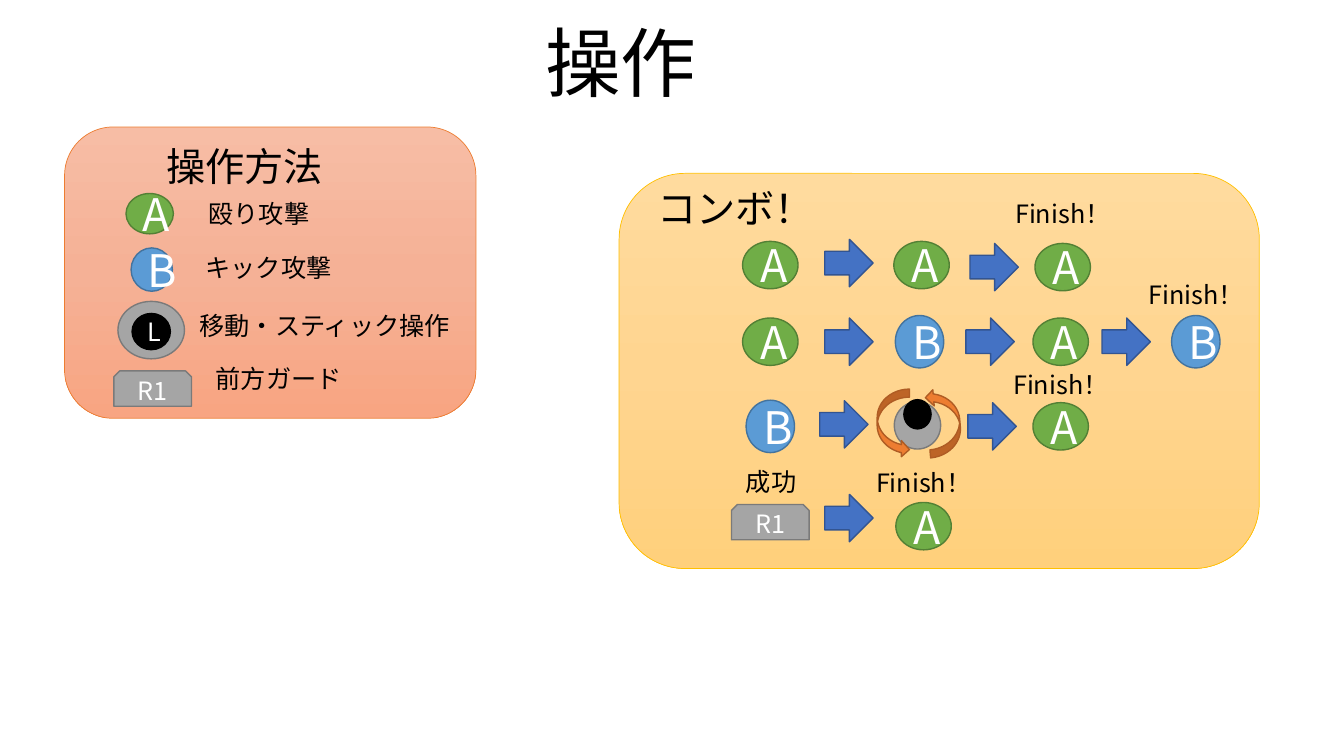
from copy import deepcopy

from lxml.etree import SubElement
from pptx import Presentation
from pptx.dml.color import RGBColor
from pptx.enum.shapes import MSO_SHAPE as Preset
from pptx.enum.text import MSO_ANCHOR as Anchor, PP_ALIGN as Align
from pptx.oxml.ns import qn
from pptx.util import Inches, Pt

FONT = "Noto Sans CJK JP"
SLIDE_SIZE = (13.33, 7.5)
PANELS = [
    ((0.64, 1.26, 4.08, 2.89), ("F7BDA5", "F5B196", "F8A582"), "ED7D31"),
    ((6.14, 1.72, 6.35, 3.92), ("FFDB9E", "FFD590", "FFD07C"), "FFC000"),
]
TEXTS = [
    ("操作", (5.31, 0.11, 1.79, 1.01), 54),
    ("操作方法", (1.55, 1.36, 1.89, 0.57), 28),
    ("コンボ！", (6.42, 1.78, 2.15, 0.68), 28),
    ("成功", (7.3, 4.58, 0.8, 0.4), 18),
]
KINDS = {
    "A": (Preset.OVAL, "70AD47", "538035", (0.55, 0.47), 32),
    "B": (Preset.OVAL, "5B9BD5", "43739E", (0.48, 0.52), 32),
    "R1": (Preset.SNIP_2_SAME_RECTANGLE, "A5A5A5", "7A7A7A", (0.77, 0.35), 18),
    "L": (Preset.OVAL, "000000", "000000", (0.38, 0.36), 18),
    "knob": (Preset.OVAL, "000000", "000000", (0.27, 0.29), None),
    "base": (Preset.OVAL, "A5A5A5", "7A7A7A", (0.46, 0.47), None),
    "arrow": (Preset.RIGHT_ARROW, "4472C4", "325491", (0.48, 0.47), None),
    "spin": (Preset.CURVED_RIGHT_ARROW, "ED7D31", "AF5C24", (0.32, 0.68), None),
}
CONTROLS = [
    ([("A", (1.485, 2.12), (0.47, 0.4))], "殴り攻撃", (1.97, 1.92, 1.68)),
    ([("B", (1.505, 2.675), (0.41, 0.43))], "キック攻撃", (1.94, 2.45, 1.68)),
    ([("base", (1.5, 3.275), (0.66, 0.57)), ("L", (1.5, 3.29), None)],
     "移動・スティック操作", (1.88, 3.03, 2.71)),
    ([("R1", (1.515, 3.855), None)], "前方ガード", (2.04, 3.56, 1.68)),
]
COMBO_COLUMNS = (7.64, 8.42, 9.12, 9.84, 10.52, 11.17, 11.86)
COMBOS = [
    (2.63, ("A", "A", "A"), 1.92),
    (3.39, ("A", "B", "A", "B"), 2.72),
    (4.23, ("B", "stick", "A"), 3.61),
    (5.18, ("R1", "A"), 4.59),
]
NUDGES = {
    (0, 1): (0, -0.02), (0, 2): (0.02, 0), (0, 3): (0.02, 0.02), (0, 4): (0.02, 0.02),
    (1, 3): (-0.02, 0), (2, 1): (-0.05, -0.02), (2, 2): (-0.02, -0.01),
    (3, 1): (0, -0.04), (3, 2): (0.04, 0.04),
}
STICK = [
    ("base", (0, 0), 0), ("knob", (0, -0.11), 0),
    ("spin", (-0.24, -0.02), 0), ("spin", (0.26, -0.03), 175),
]


def color(value):
    return RGBColor.from_string(value)


def write(shape, text, size, ink, alignment=None):
    shape.text_frame.word_wrap = True
    paragraph = shape.text_frame.paragraphs[0]
    paragraph.alignment = alignment
    run = paragraph.add_run()
    run.text = text
    for name, value in {"name": FONT, "size": Pt(size)}.items():
        setattr(run.font, name, value)
    run.font.color.rgb = color(ink)
    SubElement(run.font._element, qn("a:ea"), typeface=FONT)


def add_text(slide, text, box, size):
    write(slide.shapes.add_textbox(*map(Inches, box)), text, size, "000000")


def add_outlined(slide, preset, box, line, width):
    shape = slide.shapes.add_shape(preset, *map(Inches, box))
    shape.shadow.inherit = False
    shape.line.color.rgb = color(line)
    shape.line.width = Pt(width)
    return shape


def add_panel(slide, box, shades, line):
    fill = add_outlined(slide, Preset.ROUNDED_RECTANGLE, box, line, 0.5).fill
    fill.gradient()
    fill.gradient_angle = 270
    first = fill.gradient_stops[0]._element if hasattr(fill.gradient_stops[0], "_element") else fill.gradient_stops[0]._gs
    middle = deepcopy(first)
    first.addnext(middle)
    for stop, shade, position in zip(fill.gradient_stops, shades, (0, 0.5, 1)):
        stop.color.rgb = color(shade)
        stop.position = position


def add_part(slide, kind, center, size=None, rotation=0):
    preset, fill, line, usual_size, font_size = KINDS[kind]
    width, height = size or usual_size
    box = (center[0] - width / 2, center[1] - height / 2, width, height)
    shape = add_outlined(slide, preset, box, line, 1)
    shape.fill.solid()
    shape.fill.fore_color.rgb = color(fill)
    shape.rotation = rotation
    if font_size:
        shape.text_frame.vertical_anchor = Anchor.MIDDLE
        write(shape, kind, font_size, "FFFFFF", Align.CENTER)


def add_combo(slide, row, middle, buttons, label_top):
    steps = [step for button in buttons for step in (button, "arrow")][:-1]
    for column, step in enumerate(steps):
        dx, dy = NUDGES.get((row, column), (0, 0))
        x, y = COMBO_COLUMNS[column] + dx, middle + dy
        if step == "stick":
            for kind, (right, down), rotation in STICK:
                add_part(slide, kind, (x + right, y + down), rotation=rotation)
        else:
            add_part(slide, step, (x, y))
    add_text(slide, "Finish！", (x - 0.57, label_top, 1.39, 0.48), 18)


def main():
    """Build the slide of game controls and button combos."""
    presentation = Presentation()
    presentation.slide_width, presentation.slide_height = map(Inches, SLIDE_SIZE)
    slide = presentation.slides.add_slide(presentation.slide_layouts[6])
    for panel in PANELS:
        add_panel(slide, *panel)
    for text in TEXTS:
        add_text(slide, *text)
    for parts, label, place in CONTROLS:
        for part in parts:
            add_part(slide, *part)
        add_text(slide, label, (*place, 0.4), 18)
    for row, combo in enumerate(COMBOS):
        add_combo(slide, row, *combo)
    presentation.save("out.pptx")


if __name__ == "__main__":
    main()
